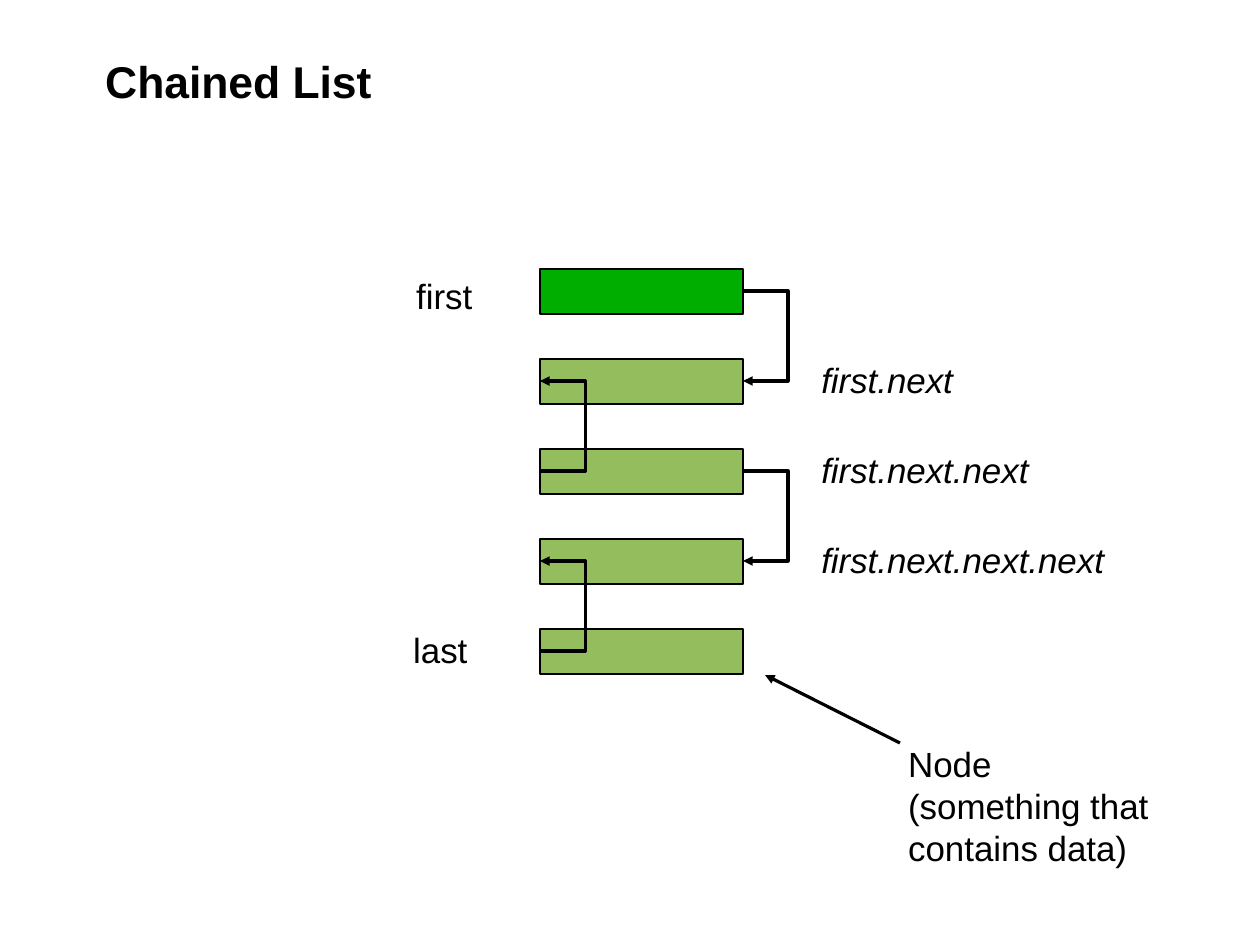
from lxml.etree import SubElement
from pptx import Presentation
from pptx.dml.color import RGBColor
from pptx.enum.shapes import MSO_CONNECTOR as Connector, MSO_SHAPE as Shape
from pptx.enum.text import MSO_AUTO_SIZE as AutoSize
from pptx.oxml.ns import qn
from pptx.util import Emu, Pt

PX = 8000  # EMU in one px
COLORS = {"ink": "000000", "first": "00AE00", "node": "94BD5E"}
FONT = "Arial"

NODE_LEFT, NODE_TOP, NODE_WIDTH, NODE_HEIGHT = 540, 269, 203, 45
NODE_COUNT, PITCH = 5, 90
LABEL_LEFT, LABEL_TOP = 810, 353

# An elbow between two points on one vertical needs a sliver of width,
# because its bend is given as a multiple of that width.
SLIVER = 360
BEND = 50100000


def px(value):
    return Emu(value * PX)


def color(name):
    return RGBColor.from_string(COLORS[name])


def write(frame, text, size=22, bold=False, italic=False, ink="ink"):
    """Fill a text frame, one paragraph for each line of text."""
    frame.text = text
    for paragraph in frame.paragraphs:
        font = paragraph.runs[0].font
        font.name, font.size = FONT, Pt(size)
        font.bold, font.italic = bold, italic
        font.color.rgb = color(ink)


class ListSlide:
    def __init__(self, presentation):
        self.shapes = presentation.slides.add_slide(
            presentation.slide_layouts[6]).shapes

    def outline(self, line):
        line.color.rgb = color("ink")
        line.width = Pt(0)

    def text(self, left, top, width, height, text, wrap=True, **style):
        frame = self.shapes.add_textbox(
            px(left), px(top), px(width), px(height)).text_frame
        frame.word_wrap = wrap
        frame.auto_size = AutoSize.SHAPE_TO_FIT_TEXT
        write(frame, text, **style)

    def node(self, top, fill):
        shape = self.shapes.add_shape(
            Shape.RECTANGLE, px(NODE_LEFT), px(top),
            px(NODE_WIDTH), px(NODE_HEIGHT))
        shape.shadow.inherit = False
        shape.fill.solid()
        shape.fill.fore_color.rgb = color(fill)
        self.outline(shape.line)

    def arrow(self, start, end, kind=Connector.STRAIGHT):
        connector = self.shapes.add_connector(
            kind, *(px(value) for value in (*start, *end)))
        self.outline(connector.line)
        properties = connector._element.spPr
        SubElement(properties.find(qn("a:ln")), qn("a:tailEnd"),
                   type="triangle")
        SubElement(properties, qn("a:effectLst"))
        return connector

    def elbow(self, left, top, upward=False):
        """Link two neighbouring nodes; an upward link is turned by 180°."""
        connector = self.arrow((left, top), (left, top + PITCH),
                               Connector.ELBOW)
        connector.width = Emu(SLIVER)
        properties = connector._element.spPr
        if upward:
            properties.find(qn("a:xfrm")).set("rot", "10800000")
        geometry = properties.find(qn("a:prstGeom"))
        adjustments = geometry.find(qn("a:avLst"))
        if adjustments is None:
            adjustments = SubElement(geometry, qn("a:avLst"))
        SubElement(adjustments, qn("a:gd"), name="adj1",
                   fmla=f"val {-BEND if upward else BEND}")


def main():
    presentation = Presentation()
    presentation.slide_width, presentation.slide_height = px(1260), px(945)
    slide = ListSlide(presentation)

    # Nodes
    for index in range(NODE_COUNT):
        slide.node(NODE_TOP + index * PITCH, "node" if index else "first")

    # Title and the first label
    slide.text(94, 48, 289, 61, "Chained List", wrap=False, size=28, bold=True)
    slide.text(405, 269, 115, 50, "first")

    # Links, alternately on the right and on the left
    for index in range(NODE_COUNT - 1):
        upward = index % 2 == 1
        left = NODE_LEFT if upward else NODE_LEFT + NODE_WIDTH
        middle = NODE_TOP + NODE_HEIGHT // 2 + index * PITCH
        slide.elbow(left, middle, upward)

    # Labels of the other nodes
    slide.text(402, 623, 115, 50, "last")
    for index, width in enumerate((202, 383, 383)):
        slide.text(LABEL_LEFT, LABEL_TOP + index * PITCH, width, 50,
                   "first" + ".next" * (index + 1), italic=True)

    # Note on what a node is
    slide.text(897, 737, 296, 128, "Node\n(something that contains data)")
    slide.arrow((900, 743), (765, 675))

    presentation.save("out.pptx")


if __name__ == "__main__":
    main()
